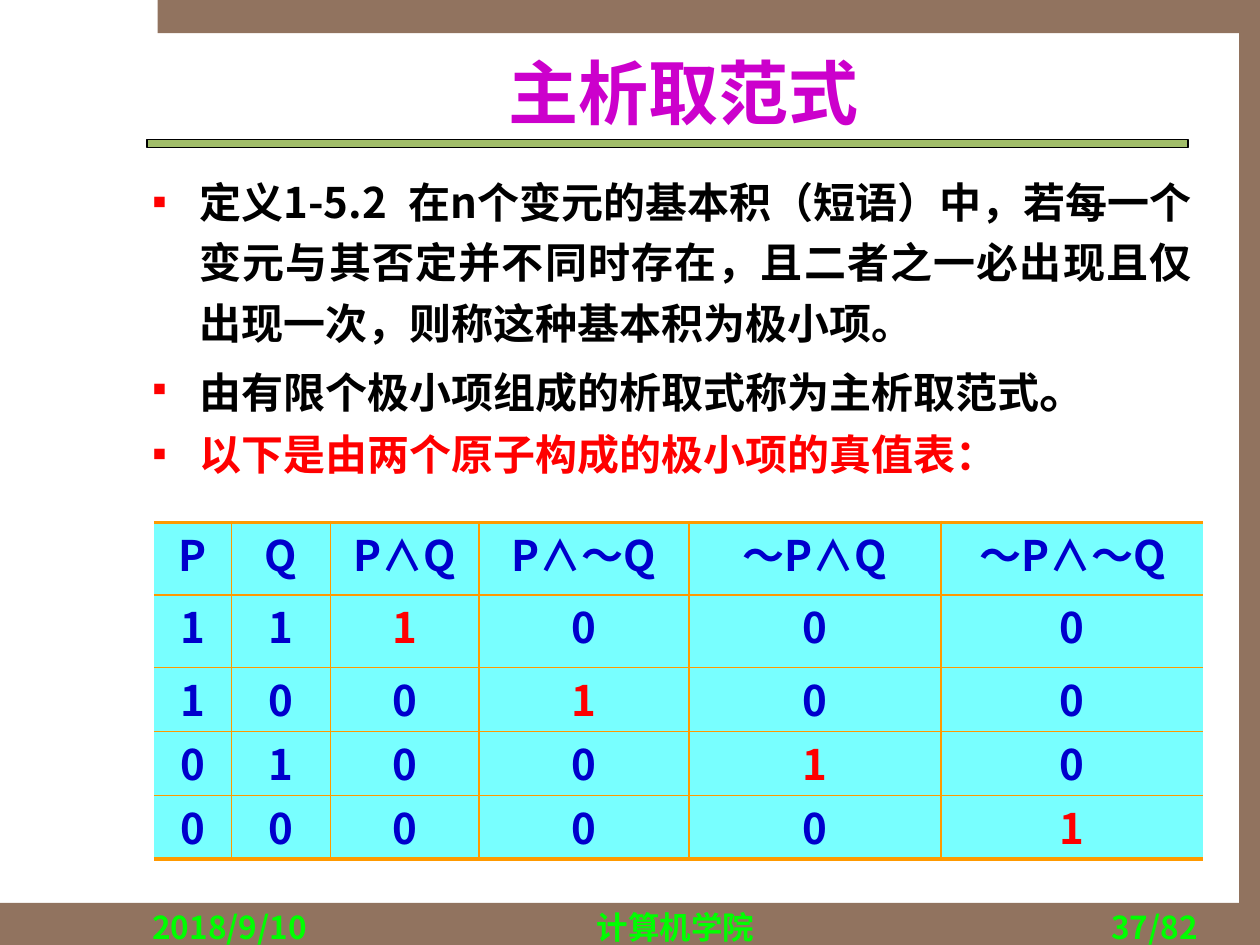
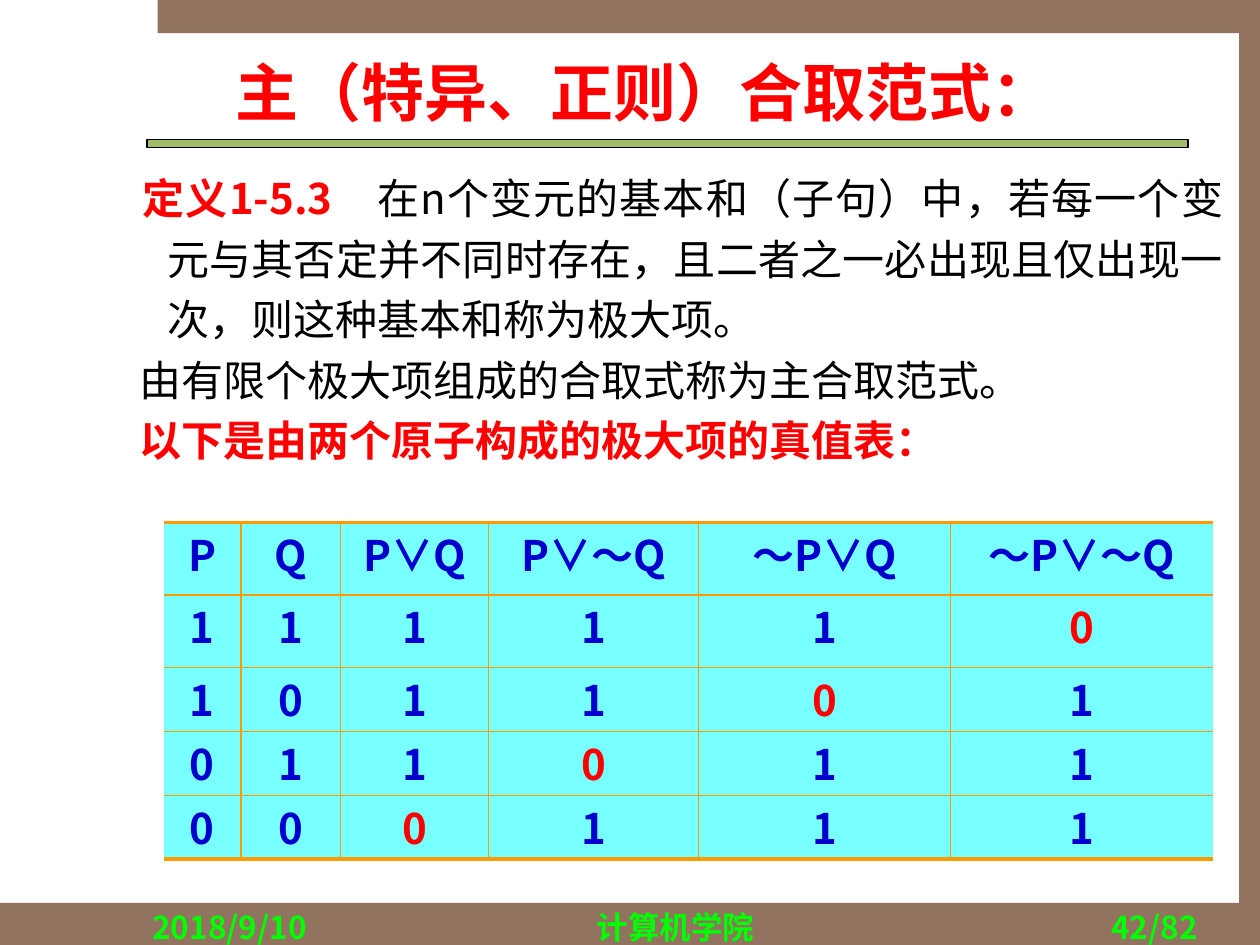
import pptx
import pptx.util
import pptx.dml.color
import pptx.enum.shapes
import pptx.enum.text
import pptx.oxml
import pptx.oxml.ns
from lxml import etree

Pt = pptx.util.Pt
RGBColor = pptx.dml.color.RGBColor
ALIGN = pptx.enum.text.PP_ALIGN
ANCHOR = pptx.enum.text.MSO_ANCHOR
qn = pptx.oxml.ns.qn

BROWN = RGBColor(0x91, 0x73, 0x5F)
OLIVE = RGBColor(0xA1, 0xBD, 0x69)
BLACK = RGBColor(0, 0, 0)
RED = RGBColor(0xFF, 0, 0)
GREEN = RGBColor(0, 0xFF, 0)
MAGENTA = RGBColor(0xCC, 0, 0xCC)
BLUE = RGBColor(0, 0, 0xCC)
CYAN = RGBColor(0x78, 0xFF, 0xFF)
ORANGE = RGBColor(0xFF, 0x99, 0)

SANS = "Noto Sans CJK SC"
SERIF = "Times New Roman"

BANDS = [(0, 516, 720, 24), (90, 0, 630, 19), (708, 18, 12, 498)]
TITLE_RULE = (84, 79.75, 595, 4.5)
DATE, SCHOOL, PAGE_COUNT = "2018/9/10", "计算机学院", 82
FOOTER_TOP, FOOTER_HEIGHT = 515.25, 13

COLUMNS = [44.25, 56.75, 84.75, 120, 144, 150]
ROWS = [41.5, 41.5, 36.5, 36.5, 36.5]
TABLE_TOP = 298.5
ASSIGNMENTS = ["11", "10", "01", "00"]

SLIDES = [
    {
        "page": 37,
        "title": ("主析取范式", 40, SERIF, MAGENTA, ALIGN.CENTER),
        "title_box": (102, 24, 577.5, 57),
        "body_box": (84, 92, 600, 184),
        "margin": 27,
        "first_lines": [-27, -27, -27],
        "bullet": "▪",
        "body": [
            [("定义1-5.2\u2002在n个变元的基本积（短语）中，若每一个变元与其否定并不同时存在，"
              "且二者之一必出现且仅出现一次，则称这种基本积为极小项。", 24, BLACK, True)],
            [("由有限个极小项组成的析取式称为主析取范式", 24, BLACK, True),
             ("。", 28, BLACK, True)],
            [("以下是由两个原子构成的极小项的真值表：", 24, RED, True)],
        ],
        "table_left": 88,
        "terms": ["P∧Q", "P∧～Q", "～P∧Q", "～P∧～Q"],
        "values": ["1000", "0100", "0010", "0001"],
        "highlight": "1",
    },
    {
        "page": 42,
        "title": ("主（特异、正则）合取范式：", 36, SANS, RED, ALIGN.LEFT),
        "title_box": (127.5, 23.5, 551.5, 57),
        "body_box": (66, 90, 636, 178.5),
        "margin": 26.5,
        "first_lines": [-14, -16, -16],
        "bullet": None,
        "body": [
            [("定义1-5.3\u3000", 24, RED, True),
             ("在n个变元的基本和（子句）中，若每一个变元与其否定并不同时存在，"
              "且二者之一必出现且仅出现一次，则这种基本和称为极大项。", 24, BLACK, False)],
            [("由有限个极大项组成的合取式称为主合取范式。", 24, BLACK, False)],
            [("以下是由两个原子构成的极大项的真值表：", 24, RED, True)],
        ],
        "table_left": 93.5,
        "terms": ["P∨Q", "P∨～Q", "～P∨Q", "～P∨～Q"],
        "values": ["1110", "1101", "1011", "0111"],
        "highlight": "0",
    },
]


def points(box):
    return [Pt(length) for length in box]


def add_run(paragraph, text, size, color, bold=True, font=SANS):
    run = paragraph.add_run()
    run.text = text
    run.font.size = Pt(size)
    run.font.bold = bold
    run.font.name = font
    run.font.color.rgb = color
    east_asian = etree.SubElement(run.font._element, qn("a:ea"))
    east_asian.set("typeface", SANS)


def add_text_frame(slide, box, anchor=ANCHOR.TOP):
    frame = slide.shapes.add_textbox(*points(box)).text_frame
    frame.word_wrap = True
    frame.vertical_anchor = anchor
    return frame


def add_band(slide, box, fill, outlined=False):
    band = slide.shapes.add_shape(pptx.enum.shapes.MSO_SHAPE.RECTANGLE, *points(box))
    band.shadow.inherit = False
    band.fill.solid()
    band.fill.fore_color.rgb = fill
    if outlined:
        band.line.color.rgb = BLACK
        band.line.width = Pt(0.75)
    else:
        band.line.fill.background()


def add_frame(slide, page):
    for box in BANDS:
        add_band(slide, box, BROWN)
    add_band(slide, TITLE_RULE, OLIVE, outlined=True)
    footers = [(80, 150, DATE, ALIGN.LEFT), (230, 312, SCHOOL, ALIGN.CENTER),
               (541.5, 150, f"{page}/{PAGE_COUNT}", ALIGN.RIGHT)]
    for left, width, text, alignment in footers:
        frame = add_text_frame(slide, (left, FOOTER_TOP, width, FOOTER_HEIGHT))
        frame.paragraphs[0].alignment = alignment
        add_run(frame.paragraphs[0], text, 18, GREEN)


def add_title(slide, box, text, size, font, color, alignment):
    paragraph = add_text_frame(slide, box, ANCHOR.MIDDLE).paragraphs[0]
    paragraph.alignment = alignment
    add_run(paragraph, text, size, color, font=font)


def set_indent(paragraph, margin, first_line, bullet):
    properties = paragraph._p.get_or_add_pPr()
    properties.set("marL", str(Pt(margin)))
    properties.set("indent", str(Pt(first_line)))
    if bullet:
        color = etree.SubElement(properties, qn("a:buClr"))
        etree.SubElement(color, qn("a:srgbClr")).set("val", str(RED))
        etree.SubElement(properties, qn("a:buFont")).set("typeface", SERIF)
        etree.SubElement(properties, qn("a:buChar")).set("char", bullet)


def add_body(slide, content):
    frame = add_text_frame(slide, content["body_box"])
    frame.margin_left = frame.margin_right = Pt(3)
    frame.margin_top = frame.margin_bottom = Pt(3)
    for index, runs in enumerate(content["body"]):
        paragraph = frame.add_paragraph() if index else frame.paragraphs[0]
        paragraph.alignment = ALIGN.JUSTIFY
        paragraph.line_spacing = 1.2
        set_indent(paragraph, content["margin"], content["first_lines"][index],
                   content["bullet"])
        for run in runs:
            add_run(paragraph, *run)


def set_borders(cell, widths):
    properties = cell._tc.get_or_add_tcPr()
    for position, (side, width) in enumerate(widths.items()):
        line = etree.Element(qn(f"a:ln{side}"))
        if width:
            line.set("w", str(Pt(width)))
            fill = etree.SubElement(line, qn("a:solidFill"))
            etree.SubElement(fill, qn("a:srgbClr")).set("val", str(ORANGE))
        else:
            etree.SubElement(line, qn("a:noFill"))
        properties.insert(position, line)


def add_truth_table(slide, content):
    grid = [["P", "Q"] + content["terms"]]
    grid += [list(pair + row) for pair, row in zip(ASSIGNMENTS, content["values"])]
    last_row, last_column = len(ROWS) - 1, len(COLUMNS) - 1
    box = (content["table_left"], TABLE_TOP, sum(COLUMNS), sum(ROWS))
    table = slide.shapes.add_table(len(ROWS), len(COLUMNS), *points(box)).table
    table.first_row = table.horz_banding = False
    for column, width in zip(table.columns, COLUMNS):
        column.width = Pt(width)
    for r, (height, texts) in enumerate(zip(ROWS, grid)):
        table.rows[r].height = Pt(height)
        for c, text in enumerate(texts):
            cell = table.cell(r, c)
            cell.margin_top = cell.margin_bottom = 0
            cell.fill.solid()
            cell.fill.fore_color.rgb = CYAN
            set_borders(cell, {
                "L": 1 if c else 0,
                "R": 1 if c < last_column else 0,
                "T": 1 if r else 2.25,
                "B": 1 if r < last_row else 2.25,
            })
            paragraph = cell.text_frame.paragraphs[0]
            paragraph.alignment = ALIGN.CENTER
            highlighted = c > 1 and text == content["highlight"]
            add_run(paragraph, text, 24, RED if highlighted else BLUE)


deck = pptx.Presentation()
deck.slide_width, deck.slide_height = Pt(720), Pt(540)
for content in SLIDES:
    slide = deck.slides.add_slide(deck.slide_layouts[6])
    add_frame(slide, content["page"])
    add_title(slide, content["title_box"], *content["title"])
    add_body(slide, content)
    add_truth_table(slide, content)
deck.save("out.pptx")
